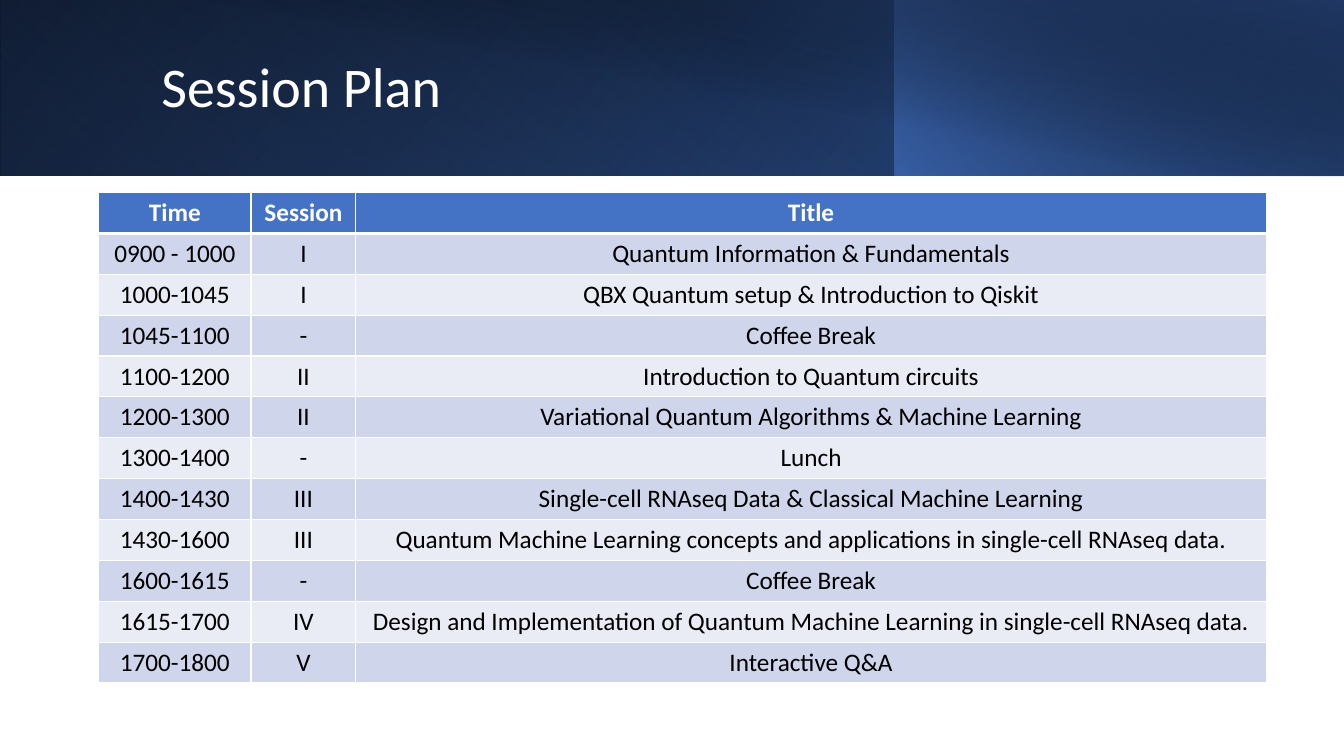
from typing import NamedTuple

from lxml.etree import SubElement
from pptx import Presentation
from pptx.dml.color import RGBColor
from pptx.enum.shapes import MSO_SHAPE
from pptx.enum.text import MSO_ANCHOR, MSO_AUTO_SIZE, PP_ALIGN
from pptx.oxml import parse_xml
from pptx.oxml.ns import nsdecls, qn
from pptx.shapes.shapetree import SlideShapes
from pptx.table import _Cell
from pptx.util import Inches, Pt

FONT = "Calibri"
BLACK = RGBColor(0x00, 0x00, 0x00)
WHITE = RGBColor(0xFF, 0xFF, 0xFF)
BLUE = RGBColor(0x44, 0x72, 0xC4)
MID = RGBColor(0x2F, 0x55, 0x97)
NAVY = RGBColor(0x20, 0x38, 0x64)
DARK_ROW = RGBColor(0xCF, 0xD5, 0xEA)
LIGHT_ROW = RGBColor(0xE9, 0xEB, 0xF5)


class Stop(NamedTuple):
    place: int
    color: RGBColor
    alpha: int = 100


class Band(NamedTuple):
    left: float
    width: float
    height: float
    angle: int
    stops: tuple[Stop, Stop]
    flip: bool = True
    turn: int = 0


class Slot(NamedTuple):
    time: str
    session: str
    title: str


BANDS = [
    Band(0, 13.33, 1.74, 140, (Stop(0, BLACK), Stop(100, MID))),
    Band(0, 8.88, 1.74, 230, (Stop(20, BLUE, 0), Stop(100, NAVY, 55)), turn=180),
    Band(8.87, 4.46, 1.74, 220, (Stop(0, BLUE, 66), Stop(100, BLACK, 30))),
    Band(0.5, 12.83, 1.75, 280, (Stop(50, BLACK, 0), Stop(99, NAVY, 52)), flip=False),
]

PLAN = [
    Slot("Time", "Session", "Title"),
    Slot("0900 - 1000", "I", "Quantum Information & Fundamentals"),
    Slot("1000-1045", "I", "QBX Quantum setup & Introduction to Qiskit"),
    Slot("1045-1100", "-", "Coffee Break"),
    Slot("1100-1200", "II", "Introduction to Quantum circuits"),
    Slot("1200-1300", "II", "Variational Quantum Algorithms & Machine Learning"),
    Slot("1300-1400", "-", "Lunch"),
    Slot("1400-1430", "III", "Single-cell RNAseq Data & Classical Machine Learning"),
    Slot("1430-1600", "III",
         "Quantum Machine Learning concepts and applications in single-cell RNAseq data."),
    Slot("1600-1615", "-", "Coffee Break"),
    Slot("1615-1700", "IV",
         "Design and Implementation of Quantum Machine Learning in single-cell RNAseq data."),
    Slot("1700-1800", "V", "Interactive Q&A"),
]
WIDTHS = (1.51, 1.04, 9.03)


def draw_band(shapes: SlideShapes, band: Band) -> None:
    shape = shapes.add_shape(MSO_SHAPE.RECTANGLE, Inches(band.left), Inches(0),
                             Inches(band.width), Inches(band.height))
    shape.shadow.inherit = False
    shape.line.fill.background()
    shape.rotation = band.turn
    if band.flip:
        shape._element.spPr.find(qn("a:xfrm")).set("flipH", "1")
    shape.fill.gradient()
    shape.fill.gradient_angle = 360 - band.angle
    for mark, stop in zip(shape.fill.gradient_stops, band.stops):
        mark.position = stop.place / 100
        mark.color.rgb = stop.color
    # Stop transparency
    for tint, stop in zip(shape._element.spPr.iter(qn("a:srgbClr")), band.stops):
        if stop.alpha < 100:
            SubElement(tint, qn("a:alpha")).set("val", str(stop.alpha * 1000))


def draw_title(shapes: SlideShapes, text: str) -> None:
    title = shapes.title
    title.left, title.top = Inches(1.5), Inches(0.32)
    title.width, title.height = Inches(10.82), Inches(1.13)
    shapes._spTree.append(title._element)  # in front of the bands
    frame = title.text_frame
    frame.text = text
    frame.word_wrap = True
    frame.auto_size = MSO_AUTO_SIZE.NONE
    frame.vertical_anchor = MSO_ANCHOR.MIDDLE
    para = frame.paragraphs[0]
    para.alignment = PP_ALIGN.LEFT
    para.line_spacing = 0.9
    para.space_after = Pt(6)
    font = para.runs[0].font
    font.name, font.size, font.color.rgb = FONT, Pt(40), WHITE


def set_edges(cell: _Cell, top: int, bottom: int) -> None:
    edges = {"lnL": 1, "lnR": 1, "lnT": top, "lnB": bottom}
    props = cell._tc.get_or_add_tcPr()
    for spot, (tag, width) in enumerate(edges.items()):
        props.insert(spot, parse_xml(
            f'<a:{tag} {nsdecls("a")} w="{Pt(width)}"><a:solidFill>'
            f'<a:srgbClr val="{WHITE}"/></a:solidFill></a:{tag}>'))


def fill_cell(cell: _Cell, text: str, row: int) -> None:
    head = row == 0
    cell.fill.solid()
    cell.fill.fore_color.rgb = BLUE if head else DARK_ROW if row % 2 else LIGHT_ROW
    set_edges(cell, 3 if row == 1 else 1, 3 if head else 1)
    cell.text_frame.text = text
    para = cell.text_frame.paragraphs[0]
    para.alignment = PP_ALIGN.CENTER
    font = para.runs[0].font
    font.name, font.size, font.bold = FONT, Pt(18), head
    font.color.rgb = WHITE if head else BLACK


def draw_plan(shapes: SlideShapes) -> None:
    table = shapes.add_table(len(PLAN), len(WIDTHS), Inches(0.98), Inches(1.91),
                             Inches(sum(WIDTHS)), Inches(4.87)).table
    table.horz_banding = False
    for column, width in zip(table.columns, WIDTHS):
        column.width = Inches(width)
    for row, slot in enumerate(PLAN):
        for col, text in enumerate(slot):
            fill_cell(table.cell(row, col), text, row)


def main() -> None:
    deck = Presentation()
    deck.slide_width, deck.slide_height = Inches(13.33), Inches(7.5)
    shapes = deck.slides.add_slide(deck.slide_layouts[5]).shapes

    # Header
    for band in BANDS:
        draw_band(shapes, band)
    draw_title(shapes, "Session Plan")

    # Timetable
    draw_plan(shapes)
    deck.save("out.pptx")


if __name__ == "__main__":
    main()
